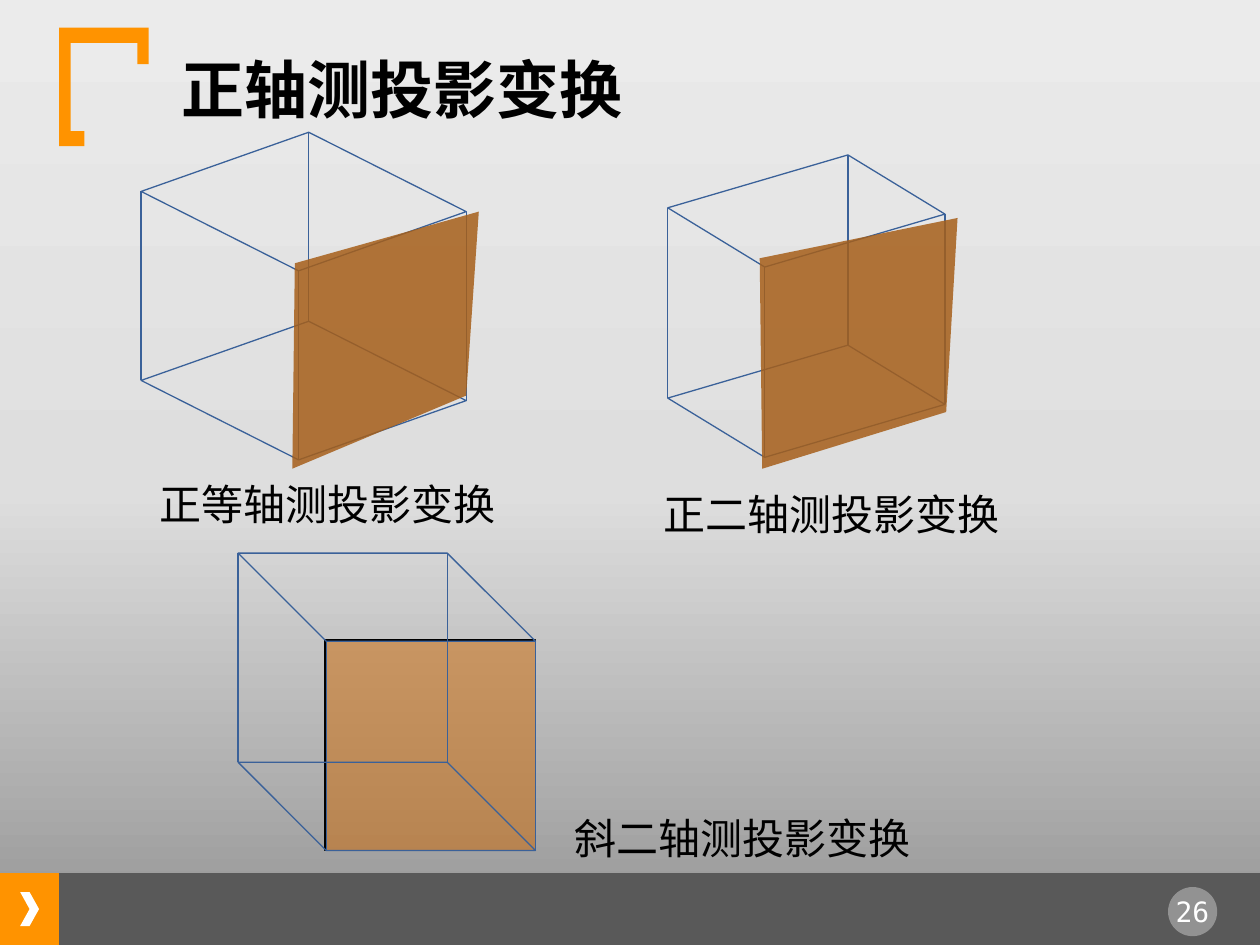
from copy import deepcopy

from pptx import Presentation
from pptx import util as u
from pptx.dml.color import RGBColor
from pptx.enum import shapes, text
from pptx.oxml import ns
from pptx.oxml.xmlchemy import OxmlElement

COLORS = {
    "orange": "FF9300", "bar": "595959", "white": "FFFFFF", "black": "000000",
    "edge": "3A6199", "plane": "A65F1A", "face": "CC6600",
}
GRADIENT = [(0, "949494"), (0.48, "DEDEDE"), (1, "EBEBEB")]
BRACKET = [(0.47, 0.22), (1.18, 0.22), (1.18, 0.51), (1.09, 0.51), (1.09, 0.34),
           (0.56, 0.34), (0.56, 1.04), (0.67, 1.04), (0.67, 1.16), (0.47, 1.16)]
ISOMETRIC_PLANE = [(2.34, 2.09), (3.8, 1.68), (3.7, 3.14), (2.32, 3.72)]
DIMETRIC_PLANE = [(6.03, 2.05), (7.6, 1.73), (7.51, 3.27), (6.05, 3.72)]


def rgb(name):
    """Return the named palette colour."""
    return RGBColor.from_string(COLORS[name])


def paint(sp, color=None, alpha=100, line=None):
    """Fill a shape, optionally translucent, outlined or hollow."""
    sp.shadow.inherit = False
    if color:
        sp.fill.solid()
        sp.fill.fore_color.rgb = rgb(color)
    else:
        sp.fill.background()
    if alpha < 100:
        a = OxmlElement("a:alpha")
        a.set("val", str(alpha * 1000))
        sp._element.spPr.find(ns.qn("a:solidFill"))[0].append(a)
    if line:
        sp.line.color.rgb = rgb(line)
        sp.line.width = u.Pt(0.75)
    else:
        sp.line.fill.background()


def add_preset(s, kind, box, color, alpha=100, line=None):
    """Add a preset shape in the given box."""
    sp = s.shapes.add_shape(kind, *map(u.Inches, box))
    paint(sp, color, alpha, line)


def add_outline(s, contours, closed=True):
    """Add one freeform made of contours given in inches."""
    contours = [[(u.Inches(x), u.Inches(y)) for x, y in c] for c in contours]
    fb = s.shapes.build_freeform(*contours[0][0])
    for i, (start, *rest) in enumerate(contours):
        if i:
            fb.move_to(*start)
        fb.add_line_segments(rest, close=closed)
    return fb.convert_to_shape()


def add_polygon(s, points, color, alpha=100):
    """Add a filled polygon."""
    paint(add_outline(s, [points]), color, alpha)


def add_cube(s, origin, left, right, height):
    """Draw a wireframe cube from its back top corner and projected axes."""
    x, y = origin
    top = [(x, y), (x + left[0], y + left[1]),
           (x + left[0] + right[0], y + left[1] + right[1]),
           (x + right[0], y + right[1])]
    base = [(px, py + height) for px, py in top]
    loops = [top + top[:1], base + base[:1]]
    sp = add_outline(s, loops + list(zip(top, base)), closed=False)
    paint(sp, line="edge")


def write(sp, words, font, size, color, align=text.PP_ALIGN.LEFT, bold=False):
    """Write one formatted run into a shape."""
    tf = sp.text_frame
    tf.word_wrap = True
    tf.auto_size = text.MSO_AUTO_SIZE.NONE
    p = tf.paragraphs[0]
    p.alignment = align
    r = p.add_run()
    r.text = words
    r.font.name, r.font.size, r.font.bold = font, u.Pt(size), bold
    r.font.color.rgb = rgb(color)


def add_label(s, words, box, font="Arial", size=24, color="black",
              align=text.PP_ALIGN.LEFT):
    """Add a text box with one line."""
    write(s.shapes.add_textbox(*map(u.Inches, box)), words, font, size, color, align)


def add_title(s, words, box):
    """Place and fill the title placeholder."""
    sp = s.shapes.title
    sp.left, sp.top, sp.width, sp.height = map(u.Inches, box)
    sp.text_frame.vertical_anchor = text.MSO_ANCHOR.MIDDLE
    write(sp, words, "Cabin", 36, "black", bold=True)


def set_background(s):
    """Give the slide its upward three-stop gradient."""
    fill = s.background.fill
    fill.gradient()
    fill.gradient_angle = 90
    stops = s._element.find(".//" + ns.qn("a:gsLst"))
    stops.append(deepcopy(stops[-1]))
    for stop, (position, color) in zip(fill.gradient_stops, GRADIENT):
        stop.position = position
        stop.color.rgb = RGBColor.from_string(color)


def add_frame(s):
    """Add the footer bar, page number and title bracket."""
    kinds = shapes.MSO_SHAPE
    add_preset(s, kinds.RECTANGLE, (0, 6.93, 0.47, 0.57), "orange")
    add_preset(s, kinds.RECTANGLE, (0.47, 6.93, 9.53, 0.57), "bar")
    add_preset(s, kinds.CHEVRON, (0.16, 7.08, 0.15, 0.27), "white")
    add_preset(s, kinds.OVAL, (9.27, 7.04, 0.39, 0.39), "white", 35)
    add_label(s, "26", (9.2, 7.05, 0.53, 0.37), "DejaVu Sans Mono", 16, "white",
              text.PP_ALIGN.CENTER)
    add_polygon(s, BRACKET, "orange")


def main():
    """Build and save the slide."""
    prs = Presentation()
    prs.slide_width, prs.slide_height = u.Inches(10), u.Inches(7.5)
    s = prs.slides.add_slide(prs.slide_layouts[5])
    set_background(s)
    add_frame(s)
    add_title(s, "正轴测投影变换", (1.34, 0.35, 8.1, 0.71))
    add_label(s, "正二轴测投影变换", (5.17, 3.83, 2.92, 0.5))
    add_label(s, "正等轴测投影变换", (1.17, 3.75, 2.92, 0.5))

    add_preset(s, shapes.MSO_SHAPE.RECTANGLE, (2.58, 5.08, 1.67, 1.67), "face", 50,
               "black")
    add_cube(s, (1.89, 4.39), (1.66, 0), (0.7, 0.7), 1.66)

    add_cube(s, (2.45, 1.05), (-1.33, 0.47), (1.25, 0.63), 1.5)
    add_polygon(s, ISOMETRIC_PLANE, "plane", 85)

    add_cube(s, (6.73, 1.23), (-1.43, 0.42), (0.77, 0.47), 1.51)
    add_polygon(s, DIMETRIC_PLANE, "plane", 85)

    add_label(s, "斜二轴测投影变换", (4.46, 6.4, 2.92, 0.5))
    prs.save("out.pptx")


if __name__ == "__main__":
    main()
